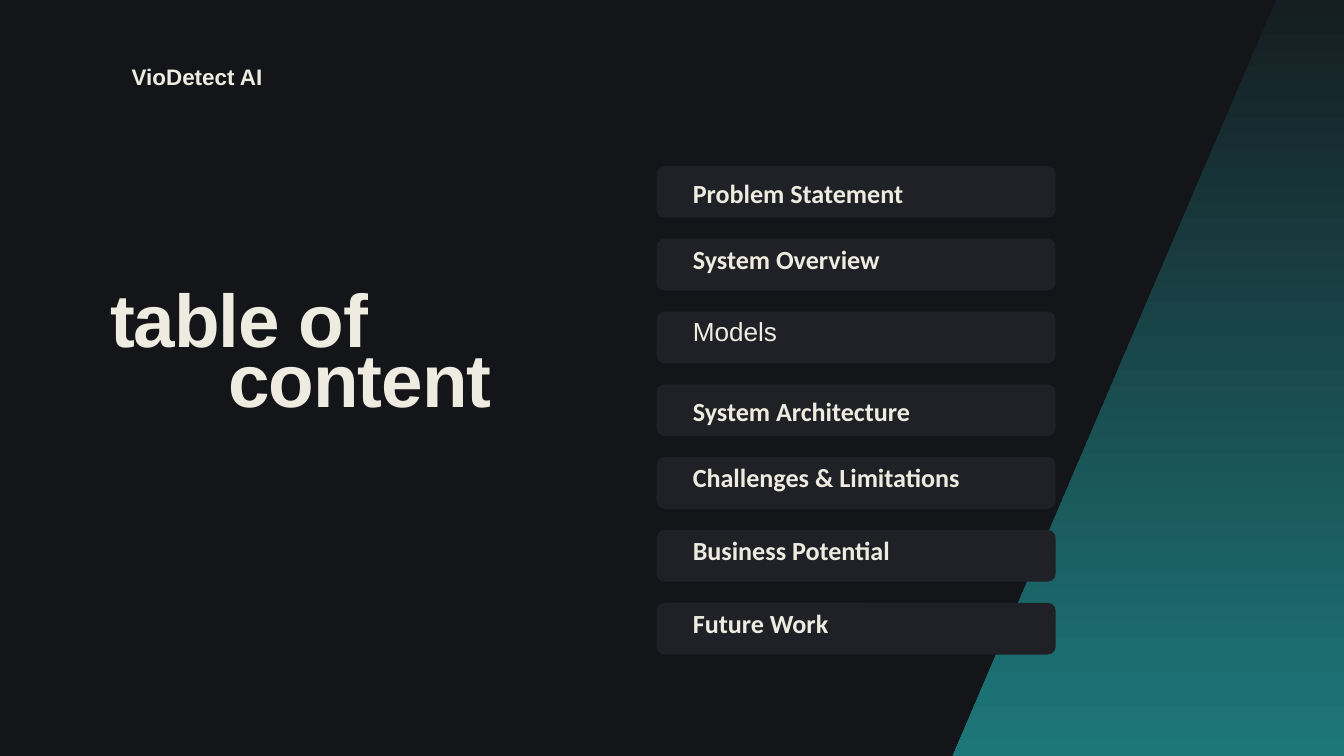
from dataclasses import dataclass

from pptx import Presentation
from pptx.dml.color import RGBColor
from pptx.enum.shapes import MSO_SHAPE as Shape
from pptx.enum.text import MSO_ANCHOR as Anchor, MSO_AUTO_SIZE as AutoSize, PP_ALIGN as Align
from pptx.oxml.ns import qn
from pptx.util import Inches, Pt


@dataclass(frozen=True)
class Theme:
    background: str = "141519"
    card: str = "202127"
    text: str = "EEECE1"
    band_top: str = "151E22"
    band_bottom: str = "1D777A"
    heading_font: str = "Arial"
    label_font: str = "Calibri"
    title_size: float = 80
    label_size: float = 28
    brand_size: float = 24


class SlideBuilder:
    def __init__(self, slide, theme):
        self.slide = slide
        self.theme = theme
        fill = slide.background.fill
        fill.solid()
        fill.fore_color.rgb = RGBColor.from_string(theme.background)

    def prepare_frame(self, shape):
        frame = shape.text_frame
        frame.margin_left = frame.margin_right = frame.margin_top = frame.margin_bottom = 0
        frame.word_wrap = True
        frame.auto_size = AutoSize.NONE
        frame.vertical_anchor = Anchor.TOP
        return frame

    def style(self, paragraph, font_name, size, bold=True, line_spacing=None):
        paragraph.alignment = Align.LEFT
        if line_spacing:
            paragraph.line_spacing = Pt(line_spacing)
        font = paragraph.font
        font.name, font.size, font.bold = font_name, Pt(size), bold
        font.color.rgb = RGBColor.from_string(self.theme.text)

    def title(self, lines, left, top, width, height):
        """Place the title; lines holds (text, indent in inches) pairs."""
        shape = self.slide.shapes.title
        shape.left, shape.top = Inches(left), Inches(top)
        shape.width, shape.height = Inches(width), Inches(height)
        frame = self.prepare_frame(shape)
        for index, (text, indent) in enumerate(lines):
            paragraph = frame.add_paragraph() if index else frame.paragraphs[0]
            paragraph.text = text
            self.style(paragraph, self.theme.heading_font, self.theme.title_size,
                       line_spacing=64.1)
            properties = paragraph._p.get_or_add_pPr()
            properties.set("marL", str(Inches(indent)))
            properties.find(qn("a:defRPr")).set("spc", "-120")

    def text(self, text, left, top, width, height, font_name, size, **style):
        shape = self.slide.shapes.add_textbox(
            Inches(left), Inches(top), Inches(width), Inches(height))
        paragraph = self.prepare_frame(shape).paragraphs[0]
        paragraph.text = text
        self.style(paragraph, font_name, size, **style)

    def card(self, left, top, width, height, radius):
        shape = self.slide.shapes.add_shape(
            Shape.ROUNDED_RECTANGLE, Inches(left), Inches(top), Inches(width), Inches(height))
        shape.adjustments[0] = radius / height
        shape.shadow.inherit = False
        shape.fill.solid()
        shape.fill.fore_color.rgb = RGBColor.from_string(self.theme.card)
        shape.line.fill.background()

    def gradient_band(self, points):
        start, *others = [(Inches(x), Inches(y)) for x, y in points]
        builder = self.slide.shapes.build_freeform(*start)
        builder.add_line_segments(others, close=True)
        shape = builder.convert_to_shape()
        shape.shadow.inherit = False
        shape.line.fill.background()
        shape.fill.gradient()
        shape.fill.gradient_angle = 270
        colors = (self.theme.band_top, self.theme.band_bottom)
        for stop, color in zip(shape.fill.gradient_stops, colors):
            stop.color.rgb = RGBColor.from_string(color)


def main():
    presentation = Presentation()
    presentation.slide_width, presentation.slide_height = Inches(20), Inches(11.25)
    theme = Theme()
    slide = presentation.slides.add_slide(presentation.slide_layouts[5])
    builder = SlideBuilder(slide, theme)

    # Slanted band along the right edge
    builder.gradient_band([(18.99, 0), (20, 0), (20, 11.25), (14.18, 11.25)])

    # Title and project name
    builder.title([("table of", 0), ("content", 1.76)], 1.64, 4.5, 6.37, 1.83)
    builder.text("VioDetect AI", 1.96, 1.02, 1.99, 0.32, theme.heading_font,
                 theme.brand_size, line_spacing=22.7)

    # Contents: label, font, bold, offset in the card, line spacing
    natural, tight = (0.17, None), (0.28, 17.9)
    entries = [
        ("Problem Statement", theme.label_font, True, natural),
        ("System Overview", theme.label_font, True, tight),
        ("Models", theme.heading_font, False, tight),
        ("System Architecture", theme.label_font, True, natural),
        ("Challenges & Limitations", theme.label_font, True, tight),
        ("Business Potential", theme.label_font, True, tight),
        ("Future Work", theme.label_font, True, tight),
    ]
    first_top, last_top = 2.47, 8.97
    pitch = (last_top - first_top) / (len(entries) - 1)
    for row, (label, font_name, bold, (offset, spacing)) in enumerate(entries):
        top = first_top + row * pitch
        builder.card(9.77, top, 5.94, 0.77, radius=0.12)
        builder.text(label, 10.31, top + offset, 4.36, 0.29, font_name,
                     theme.label_size, bold=bold, line_spacing=spacing)

    presentation.save("out.pptx")


if __name__ == "__main__":
    main()
